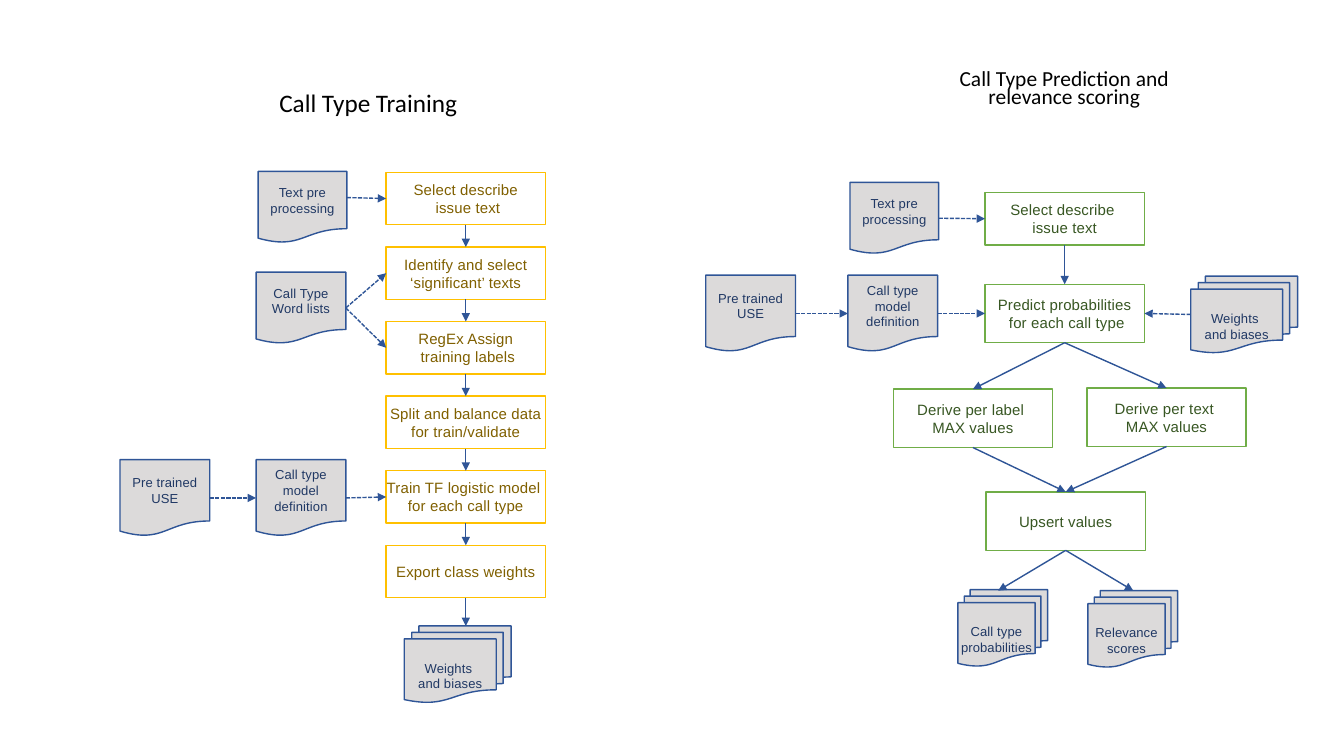
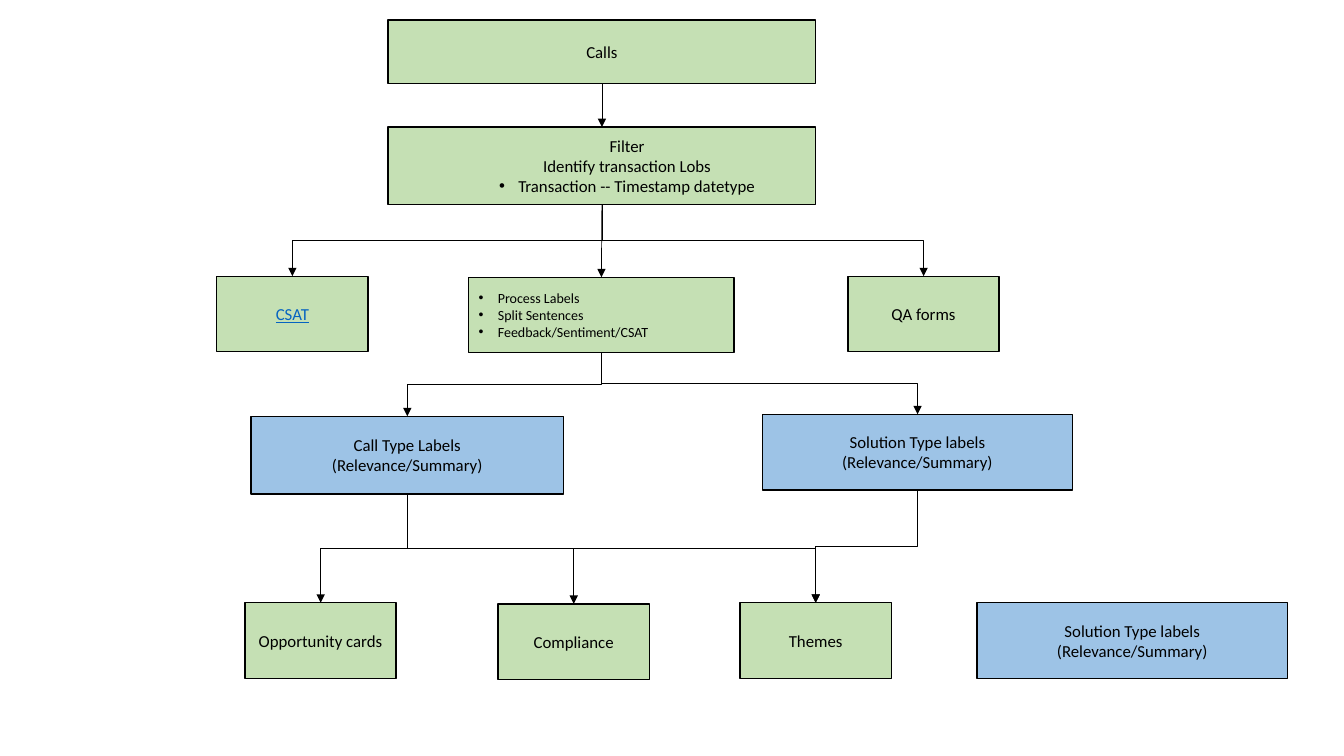
"""Builds two flow-chart slides about call type labelling."""
from dataclasses import dataclass
from enum import IntEnum
from typing import NamedTuple, Optional

from lxml import etree
from pptx import Presentation
from pptx.dml.color import RGBColor
from pptx.enum import dml, shapes, text
from pptx.oxml.ns import qn
from pptx.util import Inches, Pt

Point = tuple[float, float]
SHAPE = shapes.MSO_SHAPE
ALIGN = text.PP_ALIGN


class Side(IntEnum):
    """Connection sites in the order the preset shapes number them."""
    TOP = 0
    LEFT = 1
    BOTTOM = 2
    RIGHT = 3


@dataclass(frozen=True)
class Theme:
    """Colours, fonts and type sizes of the deck."""
    black: str = "000000"
    navy: str = "203864"
    blue: str = "2F5597"
    grey: str = "DCDADA"
    gold: str = "FFC000"
    brown: str = "806000"
    green: str = "70AD47"
    forest: str = "385723"
    pale_green: str = "C5E0B4"
    pale_blue: str = "9DC3E6"
    link: str = "0563C1"
    head_font: str = "Calibri"
    flow_font: str = "Arial"
    title: float = 18
    subtitle: float = 15.3
    label: float = 12
    step: float = 10.7
    small: float = 10
    doc: float = 9.3


T = Theme()


class Style(NamedTuple):
    """Look of one kind of box."""
    line: str
    color: str
    size: float
    fill: Optional[str] = None
    shape: SHAPE = SHAPE.RECTANGLE
    font: str = T.flow_font
    inset: Optional[float] = 0
    drop: float = 0
    tracking: int = 10
    underline: bool = False
    align: ALIGN = ALIGN.CENTER


TRAIN = Style(T.gold, T.brown, T.step)
PREDICT = Style(T.green, T.forest, T.step)
DOC = Style(T.blue, T.navy, T.doc, T.grey, SHAPE.FLOWCHART_DOCUMENT)
DOCS = DOC._replace(shape=SHAPE.FLOWCHART_MULTIDOCUMENT, drop=0.13)
GREEN = Style(T.black, T.black, T.label, T.pale_green, font=T.head_font,
              inset=None, tracking=0)
BLUE = GREEN._replace(fill=T.pale_blue)
LINKED = GREEN._replace(color=T.link, underline=True)
LISTED = GREEN._replace(size=T.small, align=ALIGN.LEFT)


@dataclass(frozen=True)
class Node:
    """A box with its text; paragraphs from `bullets_from` on get bullets."""
    key: str
    label: str
    x: float
    y: float
    w: float
    h: float
    style: Style
    margin: float = 0
    bullets_from: int = 99

    def site(self, side: Side) -> Point:
        """Return the middle of one side."""
        fx, fy = ((0.5, 0), (0, 0.5), (0.5, 1), (1, 0.5))[side]
        return self.x + fx * self.w, self.y + fy * self.h


class Link(NamedTuple):
    """An arrow between two boxes; `start` or `end` gives a free point."""
    a: str
    b: str
    out: Side = Side.BOTTOM
    into: Side = Side.TOP
    dashed: bool = False
    elbow: bool = False
    start: Optional[Point] = None
    end: Optional[Point] = None


def rgb(value: str) -> RGBColor:
    """Turn a hex string into a colour."""
    return RGBColor.from_string(value)


def format_runs(p, size: float, color: str, font: str) -> None:
    """Set size, colour and font of every run of a paragraph."""
    for r in p.runs:
        r.font.size = Pt(size)
        r.font.name = font
        r.font.color.rgb = rgb(color)


def indent(p, margin: float, bullet: bool) -> None:
    """Set the left margin and, if asked for, a hanging bullet."""
    hang = 0.19 if bullet else 0
    ppr = p._p.get_or_add_pPr()
    ppr.set("marL", str(Inches(margin + hang)))
    ppr.set("indent", str(-Inches(hang)))
    if bullet:
        etree.SubElement(ppr, qn("a:buFont")).set("typeface", "Arial")
        etree.SubElement(ppr, qn("a:buChar")).set("char", "•")
    else:
        etree.SubElement(ppr, qn("a:buNone"))


def draw_heading(sp, label: str, x: float, y: float, size: float,
                 spacing: float, align: ALIGN, anchor: text.MSO_ANCHOR) -> None:
    """Move a placeholder and format it as a chart heading."""
    sp.left, sp.top, sp.width, sp.height = map(Inches, (x, y, 2.77, 0.49))
    tf = sp.text_frame
    tf.text = label
    tf.word_wrap = True
    tf.auto_size = text.MSO_AUTO_SIZE.NONE
    tf.vertical_anchor = anchor
    p = tf.paragraphs[0]
    p.alignment, p.line_spacing, p.space_before = align, spacing, Pt(0)
    indent(p, 0, False)
    format_runs(p, size, T.black, T.head_font)


def draw_node(s, node: Node):
    """Draw one box and return its shape."""
    st = node.style
    sp = s.shapes.add_shape(st.shape, *map(Inches, (node.x, node.y, node.w, node.h)))
    sp.shadow.inherit = False
    if st.fill:
        sp.fill.solid()
        sp.fill.fore_color.rgb = rgb(st.fill)
    else:
        sp.fill.background()
    sp.line.color.rgb = rgb(st.line)
    sp.line.width = Pt(1)
    tf = sp.text_frame
    tf.word_wrap = True
    tf.vertical_anchor = text.MSO_ANCHOR.MIDDLE
    if st.inset is not None:
        tf.margin_left = tf.margin_right = tf.margin_bottom = Inches(st.inset)
        tf.margin_top = Inches(st.inset + st.drop)
    tf.text = node.label
    for i, p in enumerate(tf.paragraphs):
        p.alignment = st.align
        format_runs(p, st.size, st.color, st.font)
        if node.bullets_from < 99:
            indent(p, node.margin, i >= node.bullets_from)
        for r in p.runs:
            if st.underline:
                r.font.underline = True
            if st.tracking:
                r._r.get_or_add_rPr().set("spc", str(st.tracking))
    return sp


def turn_elbow(cx, start: Point, end: Point) -> None:
    """Turn an elbow so that it leaves and arrives vertically."""
    (x1, y1), (x2, y2) = start, end
    w, h = y2 - y1, abs(x2 - x1)
    cx.left, cx.top = Inches((x1 + x2 - w) / 2), Inches((y1 + y2 - h) / 2)
    cx.width, cx.height = Inches(w), Inches(h)
    xfrm = cx._element.spPr.find(qn("a:xfrm"))
    for flip in ("flipH", "flipV"):
        xfrm.attrib.pop(flip, None)
    xfrm.set("rot", str((90 if x2 < x1 else 270) * 60000))
    if x2 > x1:
        xfrm.set("flipH", "1")


def draw_link(s, link: Link, nodes: dict, drawn: dict, color: str, width: float) -> None:
    """Draw one arrow, glued to its boxes where no free point is given."""
    start = link.start or nodes[link.a].site(link.out)
    end = link.end or nodes[link.b].site(link.into)
    kind = shapes.MSO_CONNECTOR.ELBOW if link.elbow else shapes.MSO_CONNECTOR.STRAIGHT
    cx = s.shapes.add_connector(kind, *map(Inches, (*start, *end)))
    if not link.start:
        cx.begin_connect(drawn[link.a], int(link.out))
    if not link.end:
        cx.end_connect(drawn[link.b], int(link.into))
    if link.elbow:
        turn_elbow(cx, start, end)
    cx.line.color.rgb = rgb(color)
    cx.line.width = Pt(width)
    if link.dashed:
        cx.line.dash_style = dml.MSO_LINE.SQUARE_DOT
    sppr = cx._element.spPr
    etree.SubElement(sppr.find(qn("a:ln")), qn("a:tailEnd")).set("type", "triangle")
    etree.SubElement(sppr, qn("a:effectLst"))


def draw_flow(s, nodes: list[Node], links: list[Link], color: str, width: float) -> None:
    """Draw all boxes of a slide, then the arrows between them."""
    by_key = {n.key: n for n in nodes}
    drawn = {n.key: draw_node(s, n) for n in nodes}
    for link in links:
        draw_link(s, link, by_key, drawn, color, width)


def side_link(a: str, b: str, **points: Point) -> Link:
    """Return a dashed arrow from left to right."""
    return Link(a, b, Side.RIGHT, Side.LEFT, True, **points)


def build_pipelines(prs) -> None:
    """Build the slide with the training and the prediction flow."""
    s = prs.slides.add_slide(prs.slide_layouts[1])
    draw_heading(s.shapes.title, "Call Type Training", 2.67, 0.79, T.title, 0.9,
                 ALIGN.LEFT, text.MSO_ANCHOR.MIDDLE)
    draw_heading(s.placeholders[1], "Call Type Prediction and relevance scoring",
                 9.17, 0.63, T.subtitle, 0.7, ALIGN.CENTER, text.MSO_ANCHOR.BOTTOM)
    steps = ["Select describe\n issue text", "Identify and select ‘significant’ texts",
             "RegEx Assign\n training labels", "Split and balance data for train/validate",
             "Train TF logistic model \nfor each call type", "Export class weights"]
    nodes = [Node(f"step{i}", label, 3.83, 1.71 + 0.74 * i, 1.58, 0.52, TRAIN)
             for i, label in enumerate(steps)]
    nodes += [
        Node("words", "Call Type Word lists", 2.54, 2.7, 0.89, 0.71, DOC),
        Node("prep", "Text pre processing", 2.56, 1.7, 0.88, 0.71, DOC),
        Node("use", "Pre trained USE", 1.19, 4.56, 0.89, 0.76, DOC),
        Node("model", "Call type model definition", 2.54, 4.56, 0.89, 0.76, DOC),
        Node("weights", "Weights \nand biases", 4.01, 6.21, 1.06, 0.76, DOCS),
        Node("select", "Select describe \nissue text", 9.77, 1.91, 1.58, 0.52, PREDICT),
        Node("predict", "Predict probabilities\n for each call type",
             9.77, 2.82, 1.58, 0.58, PREDICT),
        Node("label", "Derive per label \nMAX values", 8.86, 3.86, 1.58, 0.58, PREDICT),
        Node("text", "Derive per text \nMAX values", 10.78, 3.85, 1.58, 0.58, PREDICT),
        Node("upsert", "Upsert values", 9.78, 4.88, 1.58, 0.58, PREDICT),
        Node("prep2", "Text pre processing", 8.43, 1.81, 0.88, 0.71, DOC),
        Node("use2", "Pre trained USE", 7, 2.73, 0.89, 0.76, DOC),
        Node("model2", "Call type model definition", 8.41, 2.73, 0.89, 0.76, DOC),
        Node("weights2", "Weights \nand biases", 11.81, 2.74, 1.06, 0.76, DOCS),
        Node("probs", "Call type probabilities", 9.5, 5.85, 0.89, 0.76, DOCS),
        Node("scores", "Relevance scores", 10.79, 5.86, 0.89, 0.76, DOCS)]
    links = [Link(f"step{i}", f"step{i + 1}") for i in range(len(steps) - 1)]
    links += [side_link(a, b) for a, b in (
        ("words", "step1"), ("words", "step2"), ("use", "model"), ("model", "step4"),
        ("prep2", "select"), ("use2", "model2"), ("model2", "predict"))]
    links += [Link(a, b) for a, b in (
        ("select", "predict"), ("predict", "label"), ("predict", "text"),
        ("label", "upsert"), ("text", "upsert"))]
    links += [side_link("prep", "step0", start=(3.44, 1.96)),
              Link("weights2", "predict", Side.LEFT, Side.RIGHT, True, start=(11.81, 3.12)),
              Link("step5", "weights", end=(4.62, 6.21)),
              Link("upsert", "probs", end=(9.9, 5.86)),
              Link("upsert", "scores", end=(11.24, 5.86))]
    draw_flow(s, nodes, links, T.blue, 1)


def build_overview(prs) -> None:
    """Build the slide with the tree from calls to themes."""
    s = prs.slides.add_slide(prs.slide_layouts[6])
    solution = "Solution Type labels\n(Relevance/Summary)"
    nodes = [
        Node("calls", "Calls", 3.85, 0.2, 4.24, 0.63, GREEN),
        Node("filter", "Filter\nIdentify transaction Lobs\nTransaction -- Timestamp datetype",
             3.85, 1.26, 4.24, 0.77, GREEN, margin=0.5, bullets_from=2),
        Node("solution", solution, 7.56, 4.11, 3.08, 0.75, BLUE),
        Node("types", "Call Type Labels\n(Relevance/Summary)", 2.49, 4.13, 3.1, 0.77, BLUE),
        Node("process", "Process Labels\nSplit Sentences\nFeedback/Sentiment/CSAT",
             4.65, 2.75, 2.63, 0.75, LISTED, bullets_from=0),
        Node("cards", "Opportunity cards", 2.43, 5.98, 1.5, 0.75, GREEN),
        Node("themes", "Themes", 7.34, 5.98, 1.5, 0.75, GREEN),
        Node("compliance", "Compliance", 4.94, 5.99, 1.5, 0.75, GREEN),
        Node("qa", "QA forms", 8.41, 2.74, 1.5, 0.75, GREEN),
        Node("csat", "CSAT", 2.15, 2.74, 1.5, 0.75, LINKED),
        Node("solution2", solution, 9.69, 5.98, 3.08, 0.75, BLUE)]
    links = [Link("calls", "filter"), Link("filter", "process")]
    links += [Link(a, b, elbow=True) for a, b in (
        ("types", "cards"), ("types", "compliance"), ("types", "themes"),
        ("solution", "themes"), ("filter", "csat"), ("filter", "qa"),
        ("process", "types"), ("process", "solution"))]
    draw_flow(s, nodes, links, T.black, 0.5)


prs = Presentation()
prs.slide_width, prs.slide_height = Inches(13.33), Inches(7.5)
build_pipelines(prs)
build_overview(prs)
prs.save("out.pptx")
